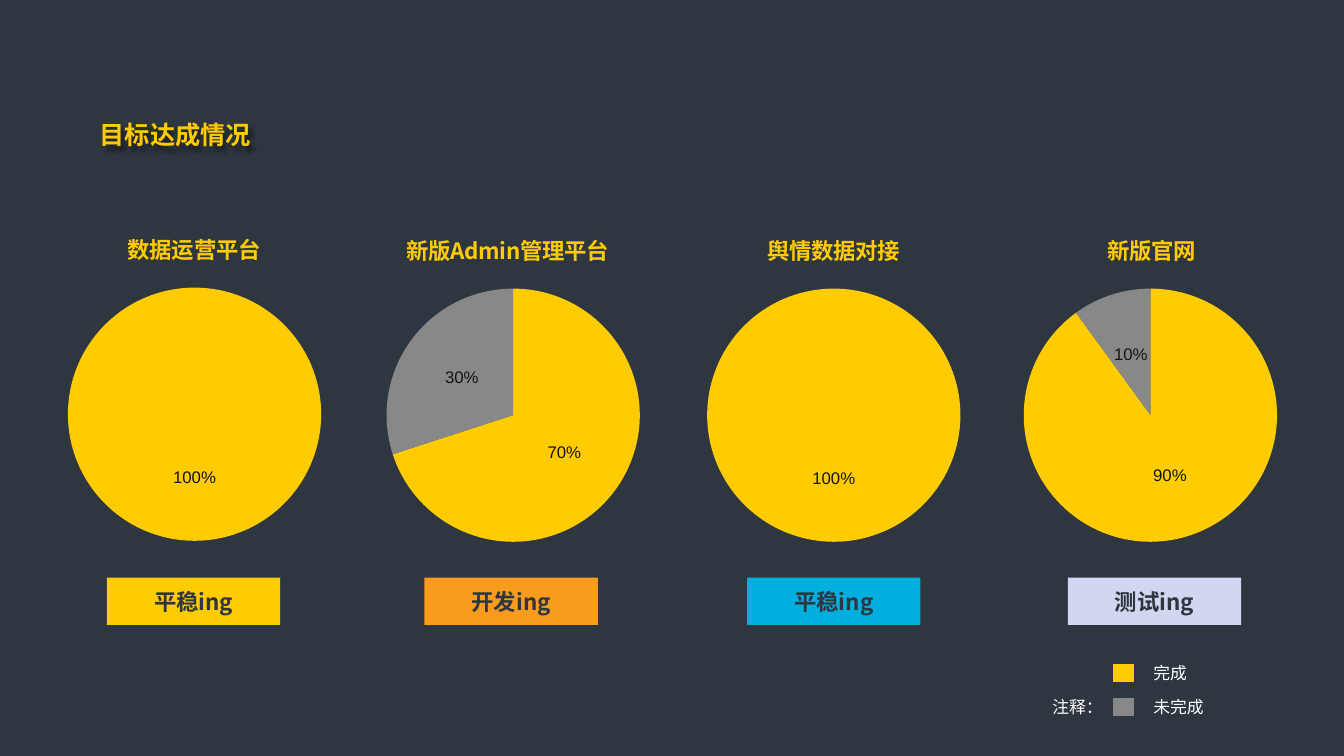
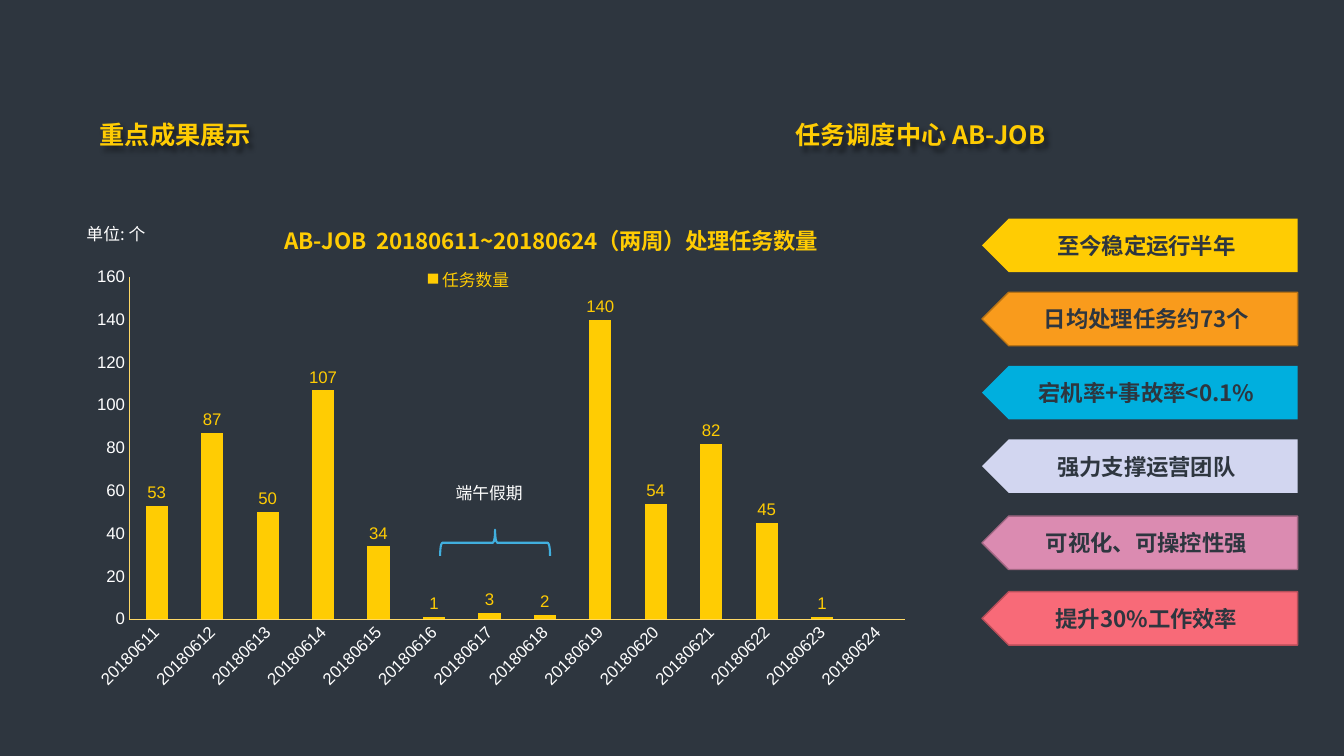
from pptx import Presentation
from pptx.chart.data import CategoryChartData as Data
from pptx.dml.color import RGBColor
from pptx.enum.chart import XL_CHART_TYPE as Kind, XL_LABEL_POSITION as Pos
from pptx.enum.chart import XL_LEGEND_POSITION as Side, XL_TICK_MARK as Tick
from pptx.enum.shapes import MSO_SHAPE as Form
from pptx.enum.text import PP_ALIGN as Align
from pptx.oxml import parse_xml
from pptx.oxml.ns import nsdecls, qn
from pptx.util import Inches, Pt

DARK = RGBColor(0x2E, 0x36, 0x3F)
GOLD = RGBColor(0xFF, 0xCC, 0x03)
ORANGE = RGBColor(0xF9, 0x9B, 0x1C)
BLUE = RGBColor(0x00, 0xAF, 0xDE)
LILAC = RGBColor(0xD2, 0xD6, 0xF0)
PINK = RGBColor(0xDB, 0x8B, 0xB1)
RED = RGBColor(0xF8, 0x6A, 0x78)
GREY = RGBColor(0x88, 0x88, 0x88)
WHITE = RGBColor(0xFF, 0xFF, 0xFF)
INK = RGBColor(0x12, 0x14, 0x19)
BROWN = RGBColor(0xB8, 0x73, 0x15)
PLUM = RGBColor(0xA2, 0x67, 0x83)
WINE = RGBColor(0xB7, 0x4E, 0x59)
SKY = RGBColor(0x41, 0xAF, 0xDE)
PALE = RGBColor(0xFF, 0xD9, 0x66)
SANS = "Noto Sans CJK SC"


def write(para, text, size, color, bold=False):
    run = para.add_run()
    run.text = text
    font = run.font
    font.size, font.bold, font.name = Pt(size), bold, SANS
    font.color.rgb = color
    run._r.get_or_add_rPr().find(qn("a:latin")).addnext(
        parse_xml(f'<a:ea {nsdecls("a")} typeface="{SANS}"/>'))


def place(node, spot, **area):
    for old in node.findall(qn("c:layout")):
        node.remove(old)
    target = '<c:layoutTarget val="inner"/>' if "w" in area else ""
    modes = "".join(f'<c:{k}Mode val="edge"/>' for k in "xy")
    sizes = "".join(f'<c:{k} val="{v}"/>' for k, v in area.items())
    node.insert(spot, parse_xml(
        f'<c:layout {nsdecls("c")}><c:manualLayout>{target}{modes}{sizes}'
        "</c:manualLayout></c:layout>"))


# Slides with a shared background
deck = Presentation()
deck.slide_width, deck.slide_height = Inches(13.33), Inches(7.5)
goals, jobs = [deck.slides.add_slide(deck.slide_layouts[6]) for _ in range(2)]
for page in (goals, jobs):
    page.background.fill.solid()
    page.background.fill.fore_color.rgb = DARK

# Charts: slide, kind, title, title place, left, top, width, height, data
pies = [("数据运营平台", 0.29, 0.26, 2.15, 100),
        ("新版Admin管理平台", 0.17, 3.42, 2.16, 70),
        ("舆情数据对接", 0.29, 6.6, 2.16, 100),
        ("新版官网", 0.36, 9.74, 2.16, 90)]
charts = []
for name, x, left, top, done in pies:
    data = Data()
    data.categories = ["1", "2"]
    data.add_series(name, (done, 100 - done))
    charts.append((goals, Kind.PIE, name, x, 0.03, left, top, 3.34, 3.35, data))
data = Data()
data.categories = [str(20180611 + day) for day in range(14)]
data.add_series("任务数量",
                (53, 87, 50, 107, 34, 1, 3, 2, 140, 54, 82, 45, 1, None))
charts.append((jobs, Kind.COLUMN_CLUSTERED,
               "AB-JOB  20180611~20180624（两周）处理任务数量",
               0.21, 0.03, 0.81, 2.01, 9.39, 4.92, data))

for page, kind, name, x, y, left, top, wide, high, data in charts:
    chart = page.shapes.add_chart(kind, Inches(left), Inches(top),
                                  Inches(wide), Inches(high), data).chart
    chart.font.name, chart.font.size = SANS, Pt(18)
    chart.font.color.rgb = GOLD
    chart.has_title = True
    title = chart.chart_title
    write(title.text_frame.paragraphs[0], name, 16, GOLD, True)
    title.include_in_layout = False
    place(title._element, 1, x=x, y=y)
    area = chart._chartSpace.chart.plotArea
    plot = chart.plots[0]
    series = plot.series[0]
    plot.has_data_labels = True
    labels = plot.data_labels
    labels.font.size, labels.font.name = Pt(12), "Arial"
    chart.has_legend = kind != Kind.PIE

    if kind == Kind.PIE:
        place(area, 0, x=0.12, y=0.21, w=0.76, h=0.75)
        plot.vary_by_categories = True
        for n, color in enumerate((GOLD, GREY)):
            fill = series.points[n].format.fill
            fill.solid()
            fill.fore_color.rgb = color
        labels.show_percentage, labels.show_value = True, False
        labels.number_format = '0%;;""'
        labels.number_format_is_linked = False
        labels.position = Pos.CENTER
        labels.font.color.rgb = INK
        continue

    place(area, 0, x=0.05, y=0.15, w=0.82, h=0.69)
    plot.vary_by_categories = False
    plot.gap_width = 150
    series.format.fill.solid()
    series.format.fill.fore_color.rgb = GOLD
    labels.show_value = True
    labels.position = Pos.OUTSIDE_END
    labels.font.color.rgb = GOLD
    key = chart.legend
    key.position, key.include_in_layout = Side.RIGHT, False
    key.font.size, key.font.name = Pt(12), SANS
    key.font.color.rgb = GOLD
    place(key._element, 1, x=0.36, y=0.12)
    for axis in (chart.category_axis, chart.value_axis):
        axis.has_major_gridlines = False
        axis.major_tick_mark = axis.minor_tick_mark = Tick.NONE
        font = axis.tick_labels.font
        font.size, font.name = Pt(12), "Arial"
        font.color.rgb = WHITE
        axis.format.line.color.rgb = PALE
        axis.format.line.width = Pt(0.5)
    axis.minimum_scale, axis.maximum_scale, axis.major_unit = 0, 160, 20
    turn = chart.category_axis._element.find(qn("c:txPr")).find(qn("a:bodyPr"))
    turn.set("rot", "-2700000")
    turn.set("vert", "horz")

# Titles and small notes, each with one tab stop
titles = [(goals, "目标达成情况"), (jobs, "重点成果展示\t任务调度中心 AB-JOB")]
notes = [(goals, "\t完成", 10.34, 6.53, 2.74),
         (goals, "注释：\t未完成", 10.34, 6.86, 2.74),
         (jobs, "端午假期", 4.42, 4.74, 1.03),
         (jobs, "单位: 个", 0.76, 2.17, 1.16)]
texts = [(page, text, 0.89, 1.17, 11.55, 0.33, 6.9, True)
         for page, text in titles]
texts += [(*note, 0.3, 1, False) for note in notes]
for page, text, left, top, wide, high, stop, head in texts:
    box = page.shapes.add_textbox(Inches(left), Inches(top),
                                  Inches(wide), Inches(high))
    box.text_frame.word_wrap = True
    para = box.text_frame.paragraphs[0]
    if head:
        para.line_spacing = 0.9
        box._element.spPr.append(parse_xml(
            f'<a:effectLst {nsdecls("a")}><a:outerShdw blurRad="38100" '
            'dist="38100" dir="2700000"><a:srgbClr val="000000">'
            '<a:alpha val="43000"/></a:srgbClr></a:outerShdw></a:effectLst>'))
    write(para, text, 18 if head else 12, GOLD if head else WHITE, head)
    if "\t" in text:
        para._p.get_or_add_pPr().append(parse_xml(
            f'<a:tabLst {nsdecls("a")}><a:tab pos="{Inches(stop)}" algn="l"/>'
            "</a:tabLst>"))

# Status tags, legend keys and result arrows
tags = [(1.06, "平稳ing", GOLD), (4.21, "开发ing", ORANGE),
        (7.41, "平稳ing", BLUE), (10.59, "测试ing", LILAC)]
points = [(2.17, "至今稳定运行半年", GOLD, None),
          (2.9, "日均处理任务约73个", ORANGE, BROWN),
          (3.63, "宕机率+事故率<0.1%", BLUE, None),
          (4.36, "强力支撑运营团队", LILAC, None),
          (5.12, "可视化、可操控性强", PINK, PLUM),
          (5.87, "提升30%工作效率", RED, WINE)]
forms = [(goals, Form.RECTANGLE, x, 5.73, 1.72, 0.47, text, color, None)
         for x, text, color in tags]
forms += [(goals, Form.FLOWCHART_PROCESS, 11.04, y, 0.21, 0.18, "", color, None)
          for y, color in ((6.59, GOLD), (6.92, GREY))]
forms += [(jobs, Form.PENTAGON, 9.74, y, 3.13, 0.53, text, color, edge)
          for y, text, color, edge in points]
forms.append((jobs, Form.LEFT_BRACE, 4.78, 4.84, 0.26, 1.09, "", None, SKY))

for page, form, left, top, wide, high, text, color, edge in forms:
    shape = page.shapes.add_shape(form, Inches(left), Inches(top),
                                  Inches(wide), Inches(high))
    shape.shadow.inherit = False
    if color:
        shape.fill.solid()
        shape.fill.fore_color.rgb = color
    else:
        shape.fill.background()
    if edge:
        shape.line.color.rgb = edge
        shape.line.width = Pt(1 if color else 1.5)
    else:
        shape.line.fill.background()
    if form == Form.PENTAGON:
        shape._element.spPr.xfrm.set("flipH", "1")
    if form == Form.LEFT_BRACE:
        shape.rotation = 90
    if text:
        para = shape.text_frame.paragraphs[0]
        para.alignment = Align.CENTER
        write(para, text, 16, DARK, True)

deck.save("out.pptx")
